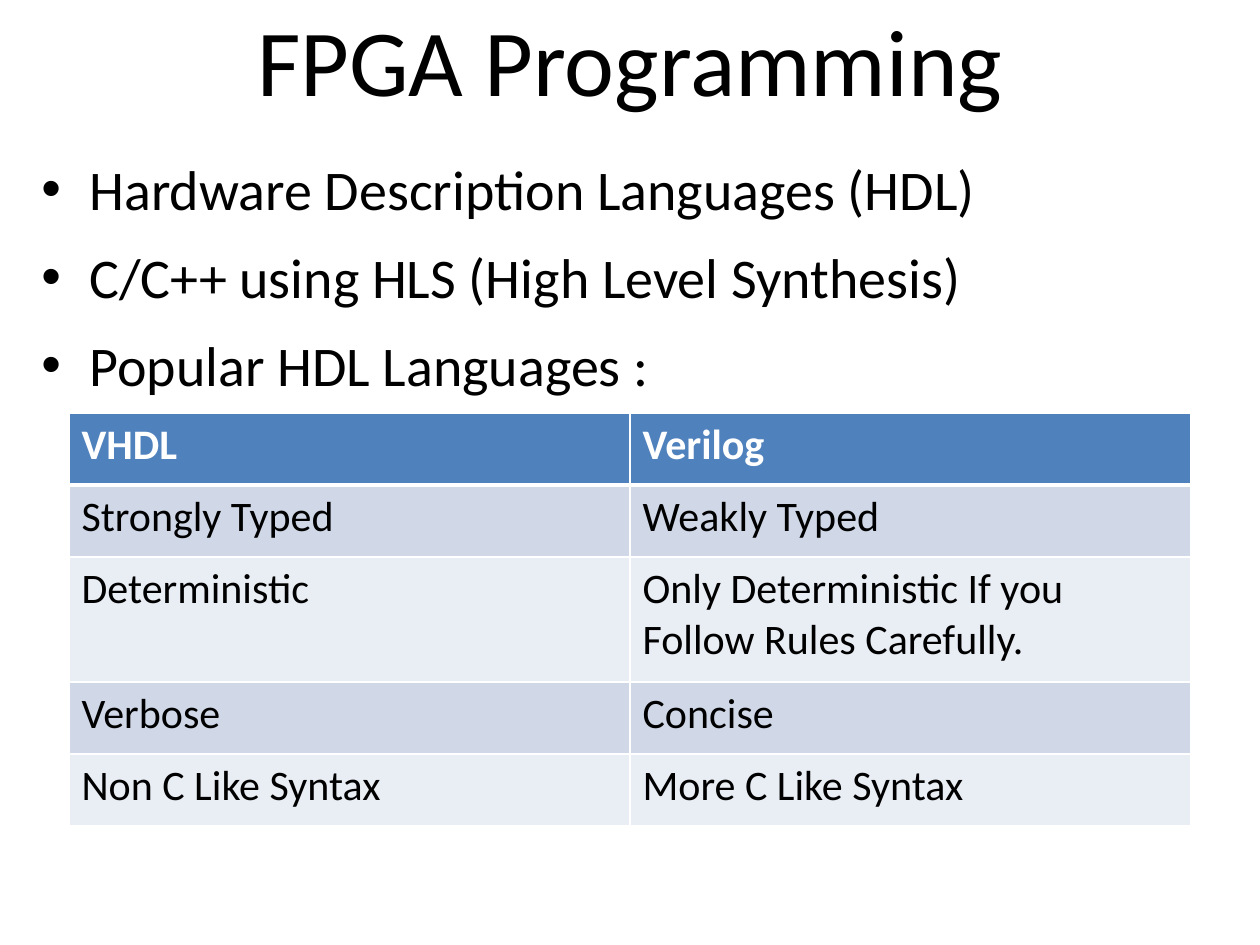
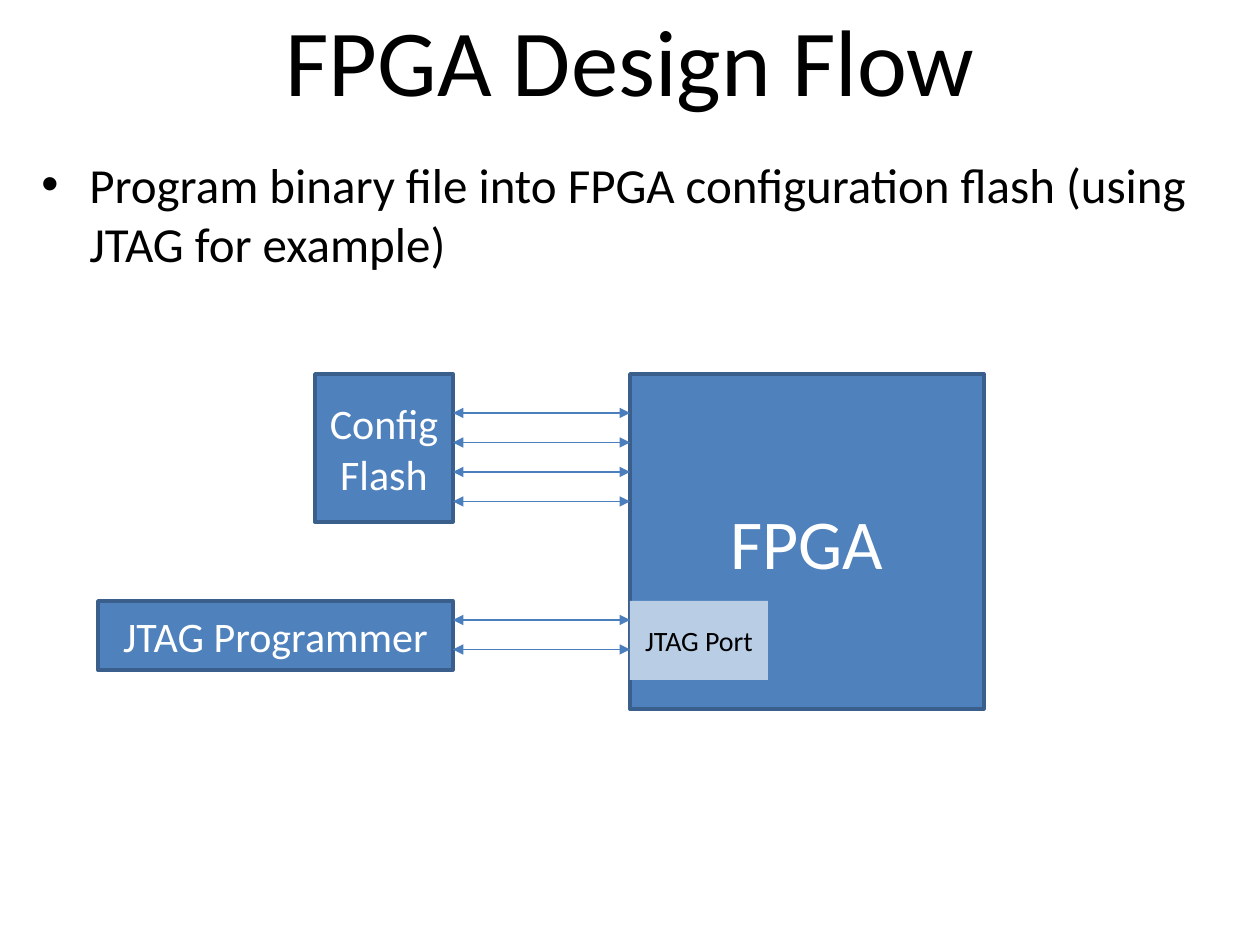
import pptx
import pptx.dml.color
import pptx.enum.shapes
import pptx.enum.text
import pptx.oxml
import pptx.oxml.ns
import pptx.util

EMU_PER_PX = 914400 / 126
FONT = "Calibri"
TITLE_ONLY = 5
COLORS = {
    "text": "000000",
    "white": "FFFFFF",
    "block": "4F81BD",
    "outline": "3A5F8C",
    "wire": "4B7EBC",
    "port": "B9CDE5",
    "dark_row": "D0D8E8",
    "light_row": "E9EDF4",
}
ALIGN = pptx.enum.text.PP_ALIGN
ANCHOR = pptx.enum.text.MSO_ANCHOR


def px(length):
    return pptx.util.Emu(round(length * EMU_PER_PX))


def rgb(name):
    return pptx.dml.color.RGBColor.from_string(COLORS[name])


def add_xml(parent, tag, inner="", **attributes):
    """Append one drawing element to the parent."""
    listed = "".join(f' {key}="{value}"' for key, value in attributes.items())
    namespace = pptx.oxml.ns.nsdecls("a")
    parent.append(pptx.oxml.parse_xml(f"<a:{tag} {namespace}{listed}>{inner}</a:{tag}>"))


def add_span(para, text, size, color="text", bold=False):
    span = para.add_run()
    span.text = text
    span.font.name = FONT
    span.font.size = pptx.util.Pt(size)
    span.font.bold = bold
    span.font.color.rgb = rgb(color)


def add_page(deck, title):
    """Add a page with the shared title style."""
    page = deck.slides.add_slide(deck.slide_layouts[TITLE_ONLY])
    box = page.shapes.title
    box.left, box.top, box.width, box.height = px(0), px(-20), px(1260), px(158)
    frame = box.text_frame
    frame.auto_size = pptx.enum.text.MSO_AUTO_SIZE.NONE
    frame.vertical_anchor = ANCHOR.MIDDLE
    para = frame.paragraphs[0]
    para.alignment = ALIGN.CENTER
    add_span(para, title, 54)
    return page


def add_bullets(page, height, size, lines):
    box = page.shapes.add_textbox(px(29), px(148), px(1211), px(height))
    frame = box.text_frame
    frame.word_wrap = True
    for index, line in enumerate(lines):
        para = frame.add_paragraph() if index else frame.paragraphs[0]
        para.space_before = pptx.util.Pt(12)
        properties = para._p.get_or_add_pPr()
        properties.set("marL", str(px(48)))
        properties.set("indent", str(px(-48)))
        add_xml(properties, "buFont", typeface="Arial")
        add_xml(properties, "buChar", char="•")
        add_span(para, line, size)


def add_cell_borders(cell, bottom_points):
    properties = cell._tc.get_or_add_tcPr()
    fill = f'<a:solidFill><a:srgbClr val="{COLORS["white"]}"/></a:solidFill>'
    for side, points in (("L", 1), ("R", 1), ("T", 1), ("B", bottom_points)):
        add_xml(properties, f"ln{side}", fill, w=pptx.util.Pt(points))


def add_language_table(page, rows, heights):
    frame = page.shapes.add_table(
        len(rows), 2, px(69), px(413), px(1122), px(sum(heights)))
    table = frame.table
    for column in table.columns:
        column.width = px(561)
    for index, (texts, height) in enumerate(zip(rows, heights)):
        header = index == 0
        table.rows[index].height = px(height)
        fill = "block" if header else ("dark_row" if index % 2 else "light_row")
        for cell, text in zip(table.rows[index].cells, texts):
            # The rule under the header is heavier, on both sides of the edge
            add_cell_borders(cell, 3 if header else 1)
            if index == 1:
                top = cell._tc.tcPr.find(pptx.oxml.ns.qn("a:lnT"))
                top.set("w", str(pptx.util.Pt(3)))
            cell.fill.solid()
            cell.fill.fore_color.rgb = rgb(fill)
            add_span(cell.text_frame.paragraphs[0], text, 24,
                     "white" if header else "text", header)


def add_block(page, left, top, width, height, text, size,
              fill="block", outline="outline", color="white"):
    block = page.shapes.add_shape(
        pptx.enum.shapes.MSO_SHAPE.RECTANGLE,
        px(left), px(top), px(width), px(height))
    block.shadow.inherit = False
    block.fill.solid()
    block.fill.fore_color.rgb = rgb(fill)
    if outline:
        block.line.color.rgb = rgb(outline)
        block.line.width = pptx.util.Pt(2)
    else:
        block.line.fill.background()
    frame = block.text_frame
    frame.word_wrap = True
    frame.vertical_anchor = ANCHOR.MIDDLE
    para = frame.paragraphs[0]
    para.alignment = ALIGN.CENTER
    add_span(para, text, size, color)


def add_wires(page, top, count):
    """Add evenly spaced two-way arrows between the left blocks and the FPGA."""
    for index in range(count):
        y = px(top + index * 29.5)
        wire = page.shapes.add_connector(
            pptx.enum.shapes.MSO_CONNECTOR.STRAIGHT, px(453), y, px(630), y)
        wire.line.color.rgb = rgb("wire")
        wire.line.width = pptx.util.Pt(0.75)
        line = wire.line._get_or_add_ln()
        add_xml(line, "headEnd", type="triangle")
        add_xml(line, "tailEnd", type="triangle")
        add_xml(wire._element.spPr, "effectLst")


def add_programming_page(deck):
    page = add_page(deck, "FPGA Programming")
    add_bullets(page, 726, 32, [
        "Hardware Description Languages (HDL)",
        "C/C++ using HLS (High Level Synthesis)",
        "Popular HDL Languages :",
    ])
    add_language_table(page, [
        ("VHDL", "Verilog"),
        ("Strongly Typed", "Weakly Typed"),
        ("Deterministic", "Only Deterministic If you Follow Rules Carefully."),
        ("Verbose", "Concise"),
        ("Non C Like Syntax", "More C Like Syntax"),
    ], [72, 72, 125, 72, 72])


def add_design_flow_page(deck):
    page = add_page(deck, "FPGA Design Flow")
    add_bullets(page, 131, 28, [
        "Program binary file into FPGA configuration flash (using JTAG for example)",
    ])
    # Configuration memory and its bus
    add_block(page, 630, 374, 354, 335, "FPGA", 40)
    add_block(page, 315, 374, 138, 148, "Config Flash", 24)
    add_wires(page, 413, 4)
    # Programmer and its port
    add_block(page, 98, 601, 355, 69, "JTAG Programmer", 24)
    add_wires(page, 620, 2)
    add_block(page, 630, 601, 138, 79, "JTAG Port", 16,
              fill="port", outline=None, color="text")


def main():
    deck = pptx.Presentation()
    deck.slide_width, deck.slide_height = px(1260), px(945)
    add_programming_page(deck)
    add_design_flow_page(deck)
    deck.save("out.pptx")


if __name__ == "__main__":
    main()
